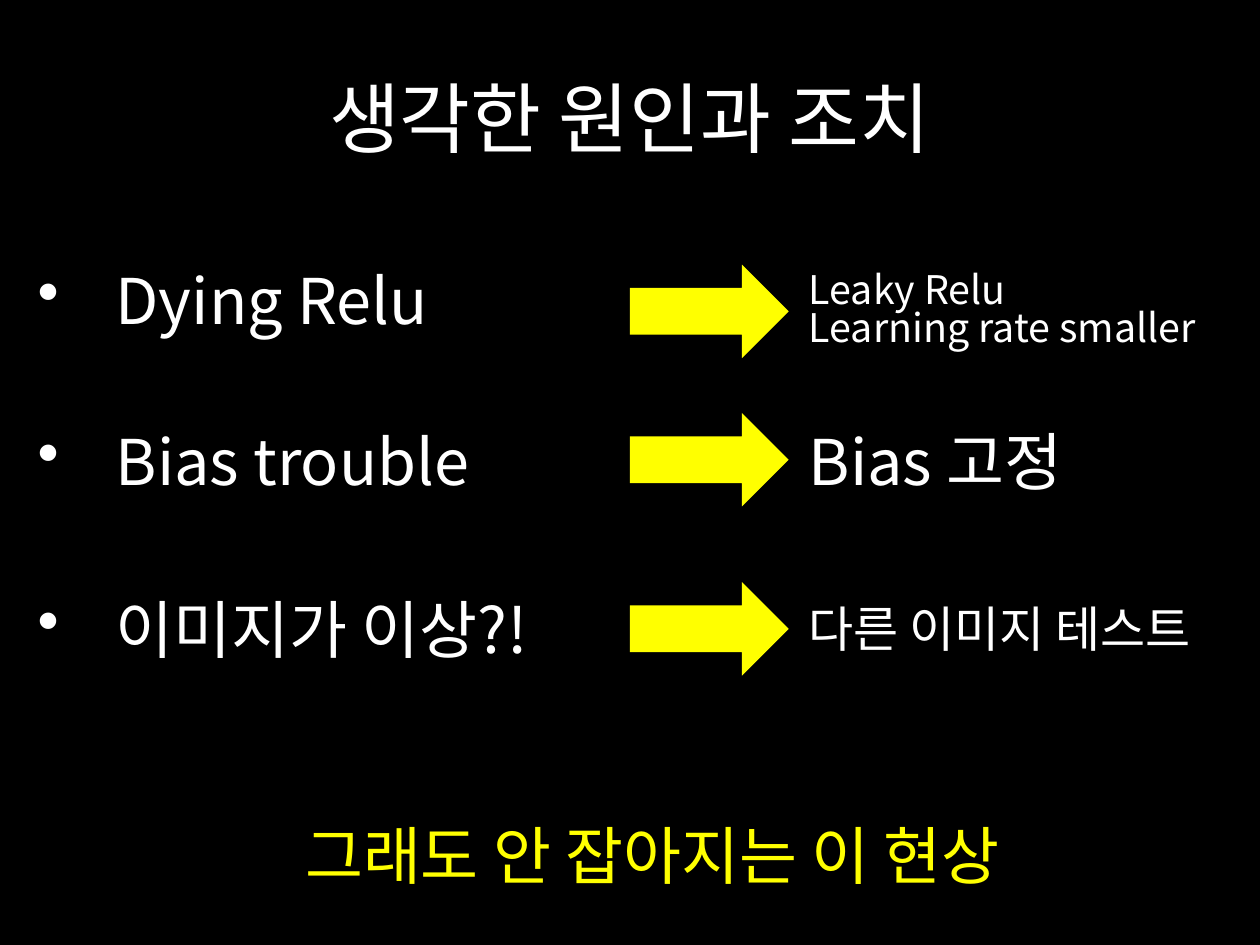
"""Build the slide of suspected causes and the measures taken against them."""
import dataclasses

import lxml.etree
import pptx
import pptx.dml.color
import pptx.enum.shapes
import pptx.enum.text
import pptx.oxml.ns
import pptx.util

FONT = "Noto Sans CJK KR"
WHITE, YELLOW, BLACK = "FFFFFF", "FFFF00", "000000"
WIDTH, HEIGHT = pptx.util.Inches(10), pptx.util.Inches(7.5)
ROW_HEIGHT = 0.12
CENTER = pptx.enum.text.PP_ALIGN.CENTER
MIDDLE = pptx.enum.text.MSO_ANCHOR.MIDDLE


@dataclasses.dataclass(frozen=True)
class Area:
    """A rectangle in shares of the slide's size."""
    left: float
    top: float
    width: float
    height: float

    def lengths(self) -> tuple[int, int, int, int]:
        """Return left, top, width and height as slide lengths."""
        return (int(self.left * WIDTH), int(self.top * HEIGHT),
                int(self.width * WIDTH), int(self.height * HEIGHT))


@dataclasses.dataclass(frozen=True)
class Step:
    """A cause, its measure and the tops of their parts."""
    cause: str
    measure: tuple[str, ...]
    size: float
    cause_top: float
    arrow_top: float
    measure_top: float
    spacing: float = 1.0


STEPS = (
    Step("Dying Relu", ("Leaky Relu", "Learning rate smaller"), 22.5, 0.257, 0.28, 0.27, 0.82),
    Step("Bias trouble", ("Bias 고정",), 36, 0.427, 0.437, 0.427),
    Step("이미지가 이상?!", ("다른 이미지 테스트",), 28, 0.605, 0.616, 0.605),
)


def color(value: str) -> pptx.dml.color.RGBColor:
    """Turn a hex string into a colour."""
    return pptx.dml.color.RGBColor.from_string(value)


def add_bullet(paragraph) -> None:
    """Give a paragraph a hanging round bullet."""
    properties = paragraph._p.get_or_add_pPr()
    indent = pptx.util.Inches(0.62)
    properties.set("marL", str(indent))
    properties.set("indent", str(-indent))
    bullet = lxml.etree.SubElement(properties, pptx.oxml.ns.qn("a:buChar"))
    bullet.set("char", "•")


def format_paragraph(paragraph, size: float, hex_color: str = WHITE) -> None:
    """Set the font of a paragraph for Latin and Korean text."""
    font = paragraph.font
    font.size = pptx.util.Pt(size)
    font.name = FONT
    font.color.rgb = color(hex_color)
    properties = paragraph._p.pPr.find(pptx.oxml.ns.qn("a:defRPr"))
    east_asian = lxml.etree.SubElement(properties, pptx.oxml.ns.qn("a:ea"))
    east_asian.set("typeface", FONT)


def add_text(slide, area: Area, lines: tuple[str, ...], size: float,
             hex_color: str = WHITE, bulleted: bool = False,
             alignment=None, spacing: float = 1.0) -> None:
    """Add a vertically centred text box."""
    frame = slide.shapes.add_textbox(*area.lengths()).text_frame
    frame.word_wrap = True
    frame.vertical_anchor = MIDDLE
    frame.text = "\n".join(lines)
    for paragraph in frame.paragraphs:
        paragraph.alignment = alignment
        paragraph.line_spacing = spacing
        if bulleted:
            add_bullet(paragraph)
        format_paragraph(paragraph, size, hex_color)


def add_arrow(slide, area: Area) -> None:
    """Add a plain yellow arrow pointing right."""
    shape = slide.shapes.add_shape(
        pptx.enum.shapes.MSO_SHAPE.RIGHT_ARROW, *area.lengths())
    shape.shadow.inherit = False
    shape.fill.solid()
    shape.fill.fore_color.rgb = color(YELLOW)
    shape.line.fill.background()


def add_title(slide, area: Area, text: str) -> None:
    """Place and format the title placeholder."""
    title = slide.shapes.title
    title.left, title.top, title.width, title.height = area.lengths()
    title.text_frame.text = text
    title.text_frame.vertical_anchor = MIDDLE
    paragraph = title.text_frame.paragraphs[0]
    paragraph.alignment = CENTER
    format_paragraph(paragraph, 44)


def add_step(slide, step: Step) -> None:
    """Draw one row: cause, arrow and measure."""
    add_text(slide, Area(0.02, step.cause_top, 0.48, ROW_HEIGHT),
             (step.cause,), 36, bulleted=True)
    add_arrow(slide, Area(0.5, step.arrow_top, 0.126, 0.099))
    add_text(slide, Area(0.632, step.measure_top, 0.368, ROW_HEIGHT),
             step.measure, step.size, spacing=step.spacing)


def main() -> None:
    """Build and save the presentation."""
    presentation = pptx.Presentation()
    presentation.slide_width, presentation.slide_height = WIDTH, HEIGHT
    slide = presentation.slides.add_slide(presentation.slide_layouts[5])
    slide.background.fill.solid()
    slide.background.fill.fore_color.rgb = color(BLACK)
    add_title(slide, Area(0.05, 0.04, 0.9, 0.167), "생각한 원인과 조치")
    for step in STEPS:
        add_step(slide, step)
    add_text(slide, Area(0.177, 0.857, 0.681, 0.095),
             ("그래도 안 잡아지는 이 현상",), 36, YELLOW, alignment=CENTER)
    presentation.save("out.pptx")


if __name__ == "__main__":
    main()
